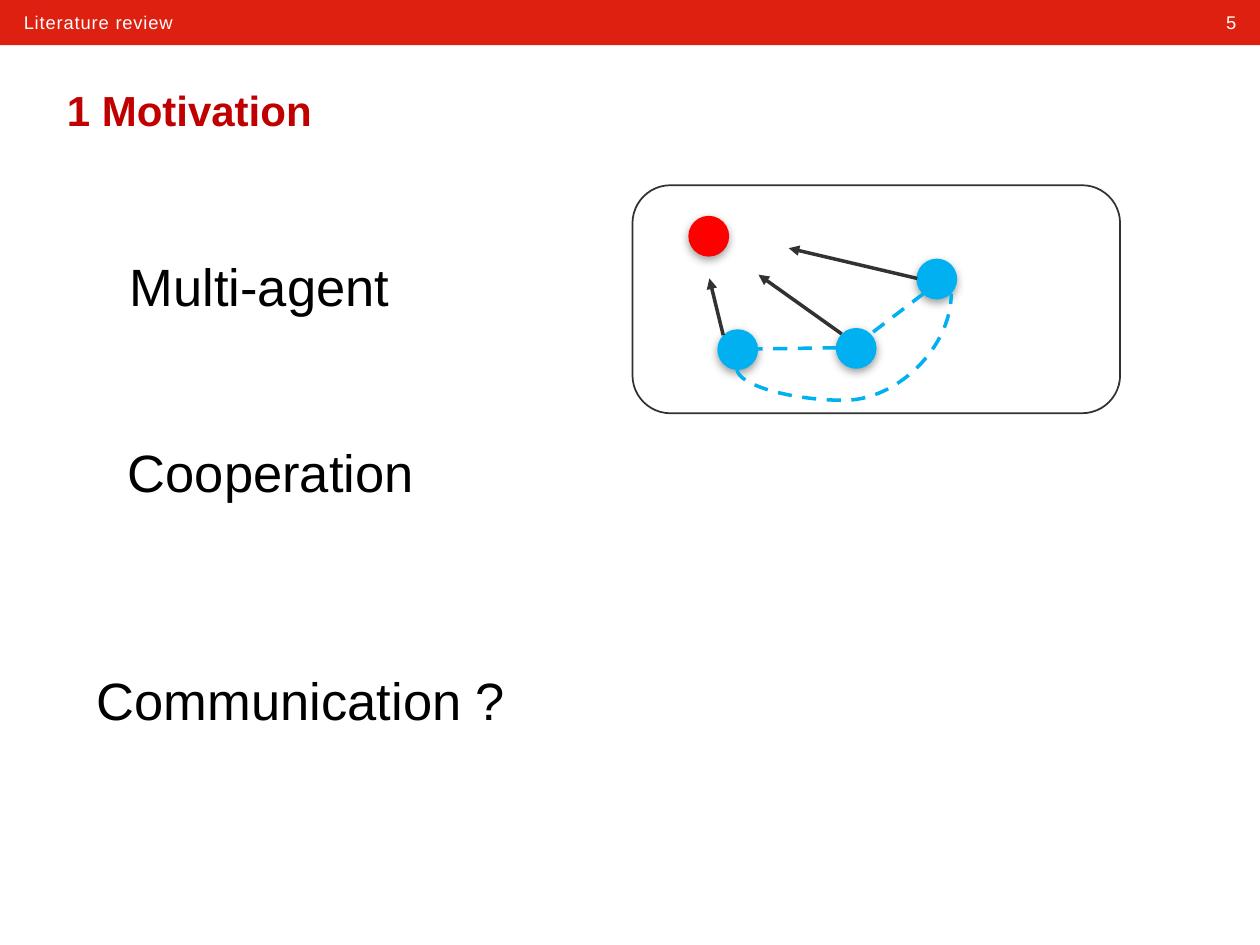
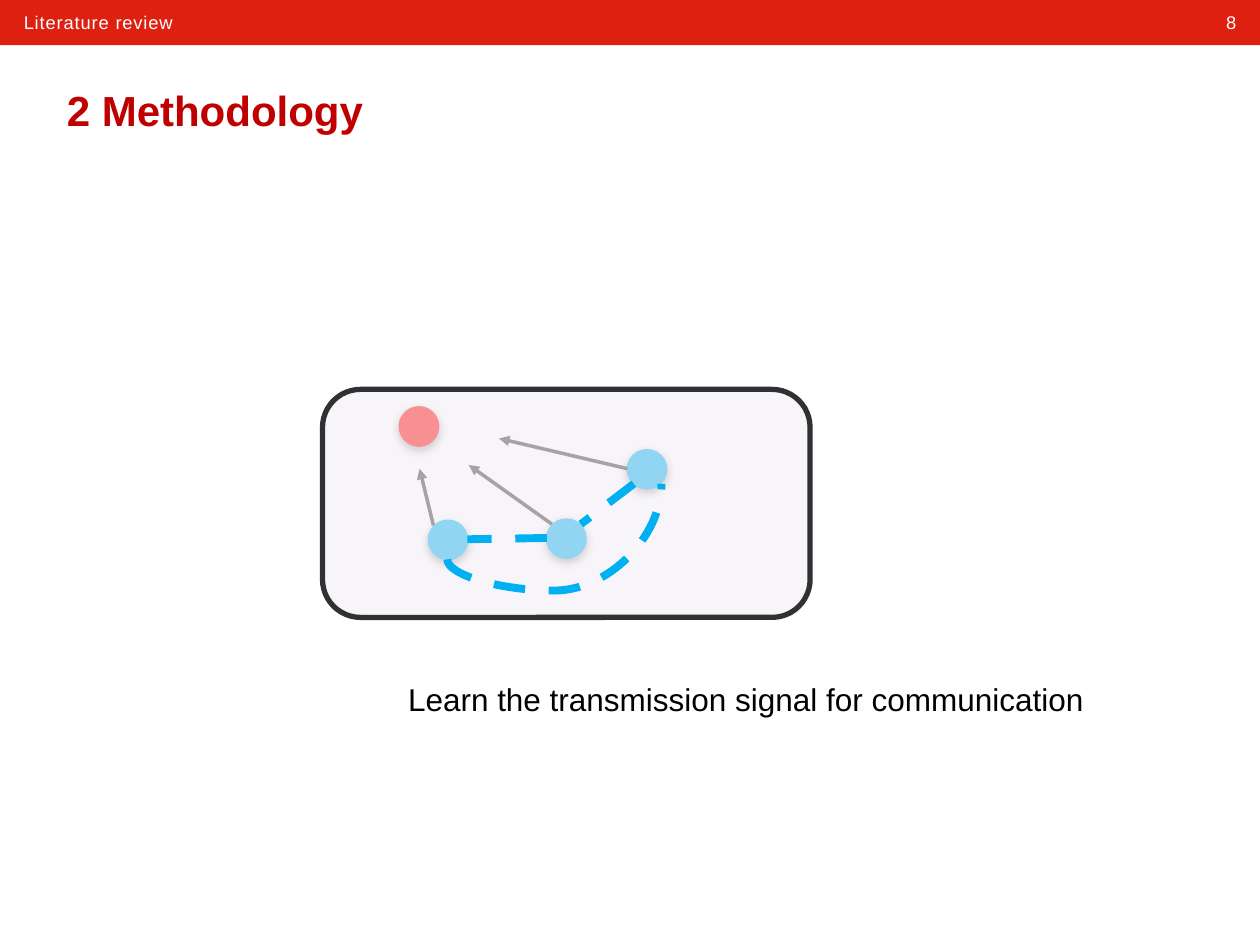
from dataclasses import dataclass

import pptx
import pptx.dml.color
import pptx.enum.dml
import pptx.enum.shapes
import pptx.enum.text
import pptx.oxml.ns
import pptx.oxml.xmlchemy
import pptx.util
from pptx.enum.shapes import MSO_CONNECTOR, MSO_SHAPE
from pptx.enum.text import MSO_ANCHOR, MSO_AUTO_SIZE, PP_ALIGN

COLORS = {
    "band": "DE2010", "title": "C00000", "white": "FFFFFF", "black": "000000",
    "frame line": "313131", "veil": "F3EFF5", "arrow": "323232",
    "target": "FF0000", "agent": "00B0F0", "shadow": "808080",
}
FONT = "Arial"

# Grid: 10 columns by 7.5 rows, all positions are given in these units
SLIDE_WIDTH, SLIDE_HEIGHT = pptx.util.Inches(10), pptx.util.Inches(7.5)
COLUMN, ROW = SLIDE_WIDTH / 10, SLIDE_HEIGHT / 7.5
Point = tuple[float, float]


@dataclass(frozen=True)
class Label:
    text: str
    left: float
    top: float
    width: float
    height: float
    size: float
    color: str = "black"
    align: PP_ALIGN = PP_ALIGN.LEFT
    spacing: float = 0


@dataclass(frozen=True)
class Disc:
    color: str
    left: float
    top: float


@dataclass(frozen=True)
class Link:
    start: Point
    end: Point


@dataclass(frozen=True)
class Scene:
    """One agent diagram; origin is the corner of the target disc."""
    origin: Point
    frame: Point
    frame_line: float
    link_width: float
    veiled: bool = False


@dataclass(frozen=True)
class SlideContent:
    number: int
    title: str
    labels: list[Label]
    scene: Scene


# Parts of the diagram, measured from the target disc
DISC_SIZE = 0.31
FRAME_SIZE = (3.87, 1.81)
DISCS = [Disc("target", 0, 0), Disc("agent", 1.81, 0.34),
         Disc("agent", 1.17, 0.89), Disc("agent", 0.23, 0.9)]
ARROWS = [Link((1.21, 0.93), (0.55, 0.46)), Link((1.81, 0.49), (0.79, 0.25)),
          Link((0.27, 0.94), (0.16, 0.49))]
MESSAGES = [Link((1.86, 0.61), (1.44, 0.93)), Link((1.17, 1.04), (0.54, 1.05))]
LONG_MESSAGE = Link((0.38, 1.21), (2.08, 0.61))
CURVE_BULGE = -41300


def topic(text: str, left: float, top: float) -> Label:
    return Label(text, left, top, 5.04, 0.61, 30, align=PP_ALIGN.CENTER)


SLIDES = [
    SlideContent(5, "1 Motivation",
                 [topic("Multi-agent", -0.46, 1.97),
                  topic("Cooperation", -0.37, 3.44),
                  topic("Communication ?", -0.13, 5.25)],
                 Scene((5.47, 1.72), (5.02, 1.47), 1, 2)),
    SlideContent(8, "2 Methodology",
                 [Label("Learn the transmission signal for communication",
                        3.14, 5.35, 7.14, 0.4, 18)],
                 Scene((3.17, 3.23), (2.56, 3.09), 3, 4.5, veiled=True)),
]


def rgb(name: str) -> pptx.dml.color.RGBColor:
    return pptx.dml.color.RGBColor.from_string(COLORS[name])


def grid(*lengths: float) -> list[int]:
    """Turn alternating column and row lengths into slide units."""
    return [round(length * (ROW if index % 2 else COLUMN))
            for index, length in enumerate(lengths)]


def sub(parent, tag: str, **attributes: str):
    element = pptx.oxml.xmlchemy.OxmlElement(tag)
    for name, value in attributes.items():
        element.set(name, value)
    parent.append(element)
    return element


def add_run(paragraph, text: str, size: float, color: str, bold: bool = False):
    run = paragraph.add_run()
    run.text = text
    run.font.name = FONT
    run.font.size = pptx.util.Pt(size)
    run.font.bold = bold
    run.font.color.rgb = rgb(color)
    return run


def add_label(slide, label: Label):
    shape = slide.shapes.add_textbox(
        *grid(label.left, label.top, label.width, label.height))
    frame = shape.text_frame
    frame.word_wrap = True
    frame.auto_size = MSO_AUTO_SIZE.SHAPE_TO_FIT_TEXT
    paragraph = frame.paragraphs[0]
    paragraph.alignment = label.align
    run = add_run(paragraph, label.text, label.size, label.color)
    if label.spacing:
        run._r.get_or_add_rPr().set("spc", str(round(label.spacing * 100)))
    return shape


def add_box(slide, kind: MSO_SHAPE, box: list[int], fill: str,
            line: str | None = None, line_width: float = 1):
    shape = slide.shapes.add_shape(kind, *box)
    shape.shadow.inherit = False
    shape.fill.solid()
    shape.fill.fore_color.rgb = rgb(fill)
    if line:
        shape.line.color.rgb = rgb(line)
        shape.line.width = pptx.util.Pt(line_width)
    else:
        shape.line.fill.background()
    return shape


def set_alpha(color_element, percent: int) -> None:
    sub(color_element, "a:alpha", val=str(percent * 1000))


def add_disc(slide, disc: Disc, origin: Point) -> None:
    box = grid(origin[0] + disc.left, origin[1] + disc.top, DISC_SIZE, DISC_SIZE)
    shape = add_box(slide, MSO_SHAPE.OVAL, box, disc.color, disc.color)
    effects = shape.element.spPr.find(pptx.oxml.ns.qn("a:effectLst"))
    shadow = sub(effects, "a:outerShdw", blurRad=str(int(pptx.util.Pt(5))),
                 dist=str(int(pptx.util.Pt(2))), dir="5400000", rotWithShape="0")
    set_alpha(sub(shadow, "a:srgbClr", val=COLORS["shadow"]), 75)


def add_link(slide, link: Link, origin: Point, color: str, width: float,
             kind: MSO_CONNECTOR = MSO_CONNECTOR.STRAIGHT, dashed: bool = False):
    ends = [origin[index] + point[index]
            for point in (link.start, link.end) for index in (0, 1)]
    connector = slide.shapes.add_connector(kind, *grid(*ends))
    connector.line.color.rgb = rgb(color)
    connector.line.width = pptx.util.Pt(width)
    if dashed:
        connector.line.dash_style = pptx.enum.dml.MSO_LINE.DASH
    else:
        sub(connector.element.spPr.get_or_add_ln(), "a:tailEnd", type="triangle")
    sub(connector.element.spPr, "a:effectLst")
    return connector


def add_long_message(slide, origin: Point, width: float) -> None:
    """Draw the curve lying down, then turn it a quarter about its centre."""
    (x1, y1), (x2, y2) = LONG_MESSAGE.start, LONG_MESSAGE.end
    center_x, center_y = (x1 + x2) / 2, (y1 + y2) / 2
    half_x, half_y = (y1 - y2) / 2, (x2 - x1) / 2
    lying = Link((center_x + half_x, center_y + half_y),
                 (center_x - half_x, center_y - half_y))
    curve = add_link(slide, lying, origin, "agent", width,
                     MSO_CONNECTOR.CURVE, dashed=True)
    properties = curve.element.spPr
    properties.find(pptx.oxml.ns.qn("a:xfrm")).set("rot", "5400000")
    geometry = properties.find(pptx.oxml.ns.qn("a:prstGeom"))
    guides = geometry.find(pptx.oxml.ns.qn("a:avLst"))
    if guides is None:
        guides = sub(geometry, "a:avLst")
    sub(guides, "a:gd", name="adj1", fmla=f"val {CURVE_BULGE}")


def add_frame(slide, scene: Scene) -> None:
    shape = add_box(slide, MSO_SHAPE.ROUNDED_RECTANGLE,
                    grid(*scene.frame, *FRAME_SIZE),
                    "veil" if scene.veiled else "white",
                    "frame line", scene.frame_line)
    if scene.veiled:
        fill = shape.element.spPr.find(pptx.oxml.ns.qn("a:solidFill"))
        set_alpha(fill[0], 60)


def add_scene(slide, scene: Scene) -> None:
    # A veil covers agents and arrows; a plain frame lies behind them
    if not scene.veiled:
        add_frame(slide, scene)
    for disc in DISCS:
        add_disc(slide, disc, scene.origin)
    for arrow in ARROWS:
        add_link(slide, arrow, scene.origin, "arrow", 2)
    if scene.veiled:
        add_frame(slide, scene)
    for message in MESSAGES:
        add_link(slide, message, scene.origin, "agent", scene.link_width, dashed=True)
    add_long_message(slide, scene.origin, scene.link_width)


def prepare_layout(layout, slide) -> None:
    """Place the title and move the shared band and its label to the layout."""
    title = layout.placeholders[0]
    title.left, title.top, title.width, title.height = grid(0.43, 0.55, 9.13, 0.64)
    band = add_box(slide, MSO_SHAPE.RECTANGLE, grid(0, 0, 10, 0.36), "band")
    heading = add_label(slide, Label("Literature review", 0.09, 0.04, 6.25, 0.28,
                                     10.5, "white", spacing=0.5))
    for shape in (band, heading):
        layout.shapes.element.append(shape.element)


def fill_slide(slide, content: SlideContent) -> None:
    # Title and slide number
    frame = slide.shapes.title.text_frame
    frame.vertical_anchor = MSO_ANCHOR.MIDDLE
    paragraph = frame.paragraphs[0]
    paragraph.alignment = PP_ALIGN.LEFT
    add_run(paragraph, content.title, 24, "title", bold=True)
    add_label(slide, Label(str(content.number), 9.19, 0.04, 0.72, 0.28, 10.5,
                           "white", PP_ALIGN.RIGHT, 0.5))
    # Body
    for label in content.labels:
        add_label(slide, label)
    add_scene(slide, content.scene)


def main() -> None:
    presentation = pptx.Presentation()
    presentation.slide_width, presentation.slide_height = SLIDE_WIDTH, SLIDE_HEIGHT
    layout = presentation.slide_layouts.get_by_name("Title Only")
    slides = [presentation.slides.add_slide(layout) for _ in SLIDES]
    prepare_layout(layout, slides[0])
    for slide, content in zip(slides, SLIDES):
        fill_slide(slide, content)
    presentation.save("out.pptx")


if __name__ == "__main__":
    main()
